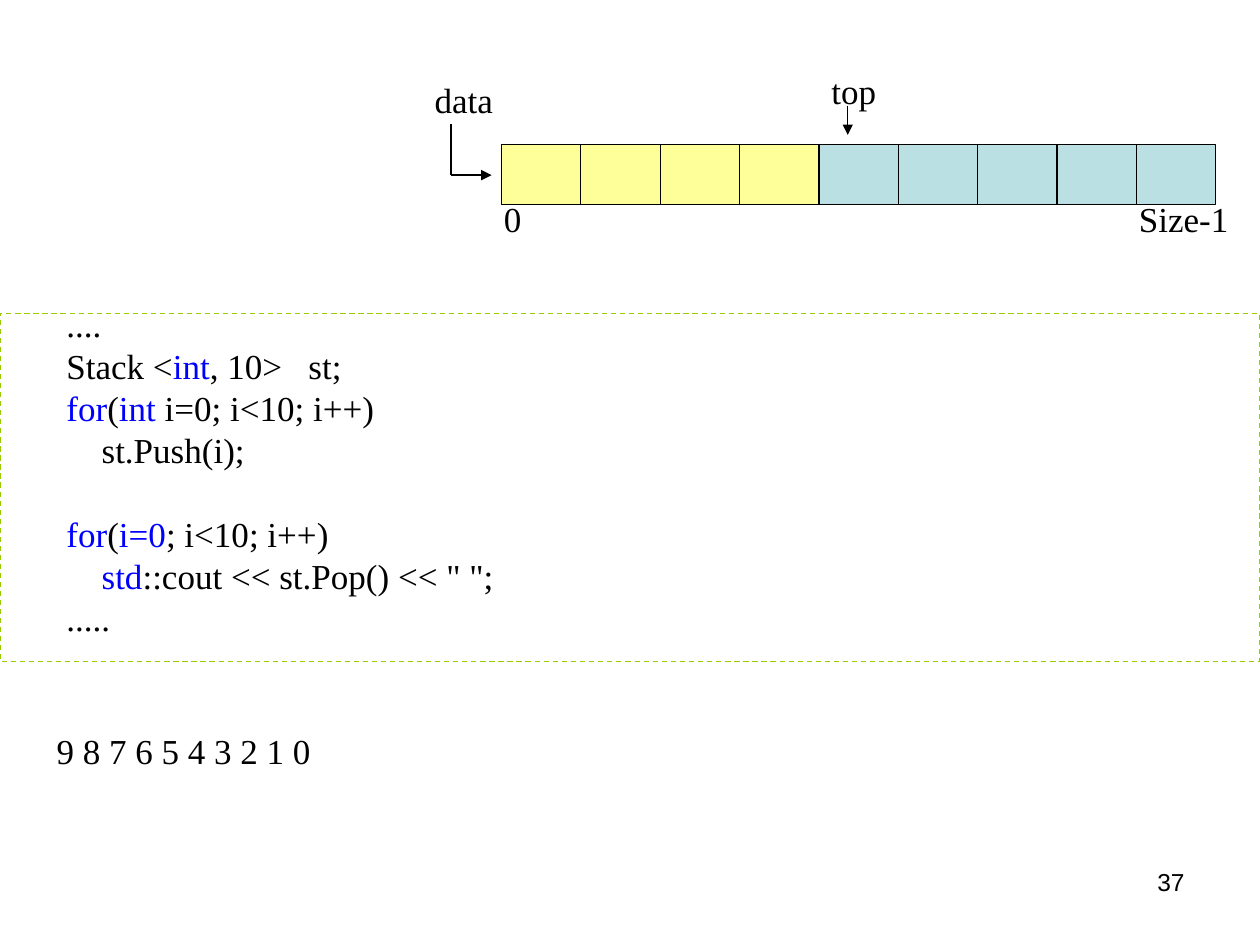
"""Build the slide that shows a stack template, its use and its output."""
from pptx import Presentation
from pptx.dml.color import RGBColor
from pptx.enum import dml, shapes, text
from pptx.oxml.ns import qn
from pptx.util import Cm, Pt
from lxml import etree


def tint(code):
    return RGBColor.from_string(code)


def label(left, top, wide, high, lines, wrap=True, size=20, face="Times New Roman"):
    box = slide.shapes.add_textbox(Cm(left), Cm(top), Cm(wide), Cm(high))
    frame = box.text_frame
    frame.word_wrap = wrap
    for i, line in enumerate(lines):
        para = frame.paragraphs[0] if i == 0 else frame.add_paragraph()
        para.font.size = Pt(size)
        para.font.name = face
        for j, part in enumerate(line.split("|")):
            if part:
                run = para.add_run()
                run.text = part
                run.font.color.rgb = tint("0000FF" if j % 2 else "000000")
    return frame.paragraphs


deck = Presentation()
deck.slide_width, deck.slide_height = Cm(25.4), Cm(19.05)
slide = deck.slides.add_slide(deck.slide_layouts[6])

label(18.21, 17.35, 5.92, 1.32, ["37"], size=14, face="Arial")[0].alignment = text.PP_ALIGN.RIGHT

code = label(1.09, 5.97, 12.7, 7.04, [
    "....",
    "Stack <|int|, 10>   st;",
    "|for|(|int| i=0; i<10; i++)",
    "st.Push(i);",
    "|for|(|i=0|; i<10; i++)",
    '|std|::cout << st.Pop() << " ";',
    ".....",
])
for para in code:
    para.line_spacing = Pt(24)
code[4].space_before = Pt(24)
for para in (code[3], code[5]):
    para._p.get_or_add_pPr().set("marL", str(Cm(0.71)))

label(0.89, 14.58, 12.7, 1.09, ["9 8 7 6 5 4 3 2 1 0"])

side = 1.6
for i in range(9):
    cell = slide.shapes.add_shape(shapes.MSO_SHAPE.RECTANGLE, Cm(10.11 + i * side), Cm(2.92), Cm(side), Cm(1.2))
    cell.shadow.inherit = False
    cell.fill.solid()
    cell.fill.fore_color.rgb = tint("FFFF99" if i < 4 else "BBE0E3")
    cell.line.color.rgb = tint("000000")
    cell.line.width = Pt(0.75)

for word, left, top, wide in [
    ("top", 16.51, 1.27, 1.42),
    ("data", 8.51, 1.45, 1.68),
    ("0", 9.91, 3.86, 0.86),
    ("Size-1", 22.71, 3.86, 2.31),
]:
    label(left, top, wide, 1.09, [word], wrap=False)

for x1, y1, x2, y2, head in [
    (17.09, 2.13, 17.09, 2.72, True),
    (9.09, 2.51, 9.09, 3.53, False),
    (9.09, 3.53, 9.91, 3.53, True),
]:
    line = slide.shapes.add_connector(shapes.MSO_CONNECTOR.STRAIGHT, Cm(x1), Cm(y1), Cm(x2), Cm(y2))
    line.line.color.rgb = tint("000000")
    line.line.width = Pt(0.75)
    if head:
        etree.SubElement(line.line._get_or_add_ln(), qn("a:tailEnd"), type="triangle")
    etree.SubElement(line._element.spPr, qn("a:effectLst"))

border = slide.shapes.add_shape(shapes.MSO_SHAPE.RECTANGLE, Cm(0), Cm(6.32), Cm(25.4), Cm(7.01))
border.shadow.inherit = False
border.fill.background()
border.line.color.rgb = tint("99CC00")
border.line.width = Pt(0.75)
border.line.dash_style = dml.MSO_LINE.DASH

deck.save("out.pptx")
